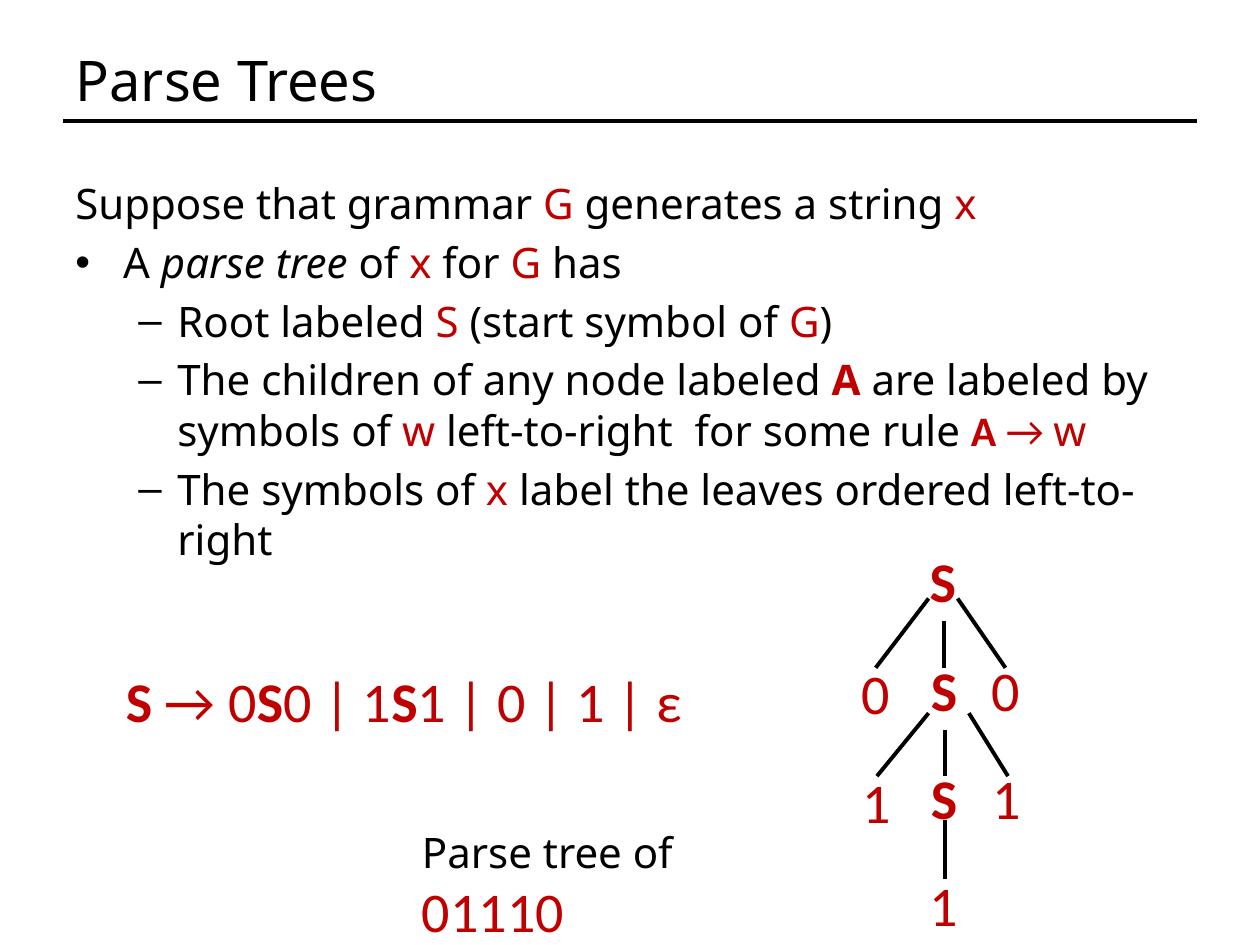
from dataclasses import dataclass

from lxml.etree import SubElement
from pptx import Presentation
from pptx.dml.color import RGBColor
from pptx.enum.shapes import MSO_CONNECTOR
from pptx.enum.text import MSO_ANCHOR, MSO_AUTO_SIZE, PP_ALIGN
from pptx.oxml.ns import qn
from pptx.util import Emu, Pt

PX = 9144  # one px is a hundredth of an inch
BLACK = RGBColor(0x00, 0x00, 0x00)
RED = RGBColor(0xC0, 0x00, 0x00)
TEXT_FONT = "Noto Sans"
SYMBOL_FONT = "Calibri"


@dataclass(frozen=True)
class Run:
    text: str
    color: RGBColor = BLACK
    name: str = TEXT_FONT
    size: int = 24
    bold: bool = False
    italic: bool = False


@dataclass(frozen=True)
class Bullet:
    char: str
    margin: int
    hanging: int
    level: int


@dataclass(frozen=True)
class Node:
    text: str
    left: int
    top: int
    width: int = 43
    bold: bool = False


@dataclass(frozen=True)
class Line:
    x1: int
    y1: int
    x2: int
    y2: int
    weight: float = 2.25


def px(value: int) -> Emu:
    return Emu(value * PX)


def red(text: str, **style) -> Run:
    return Run(text, RED, **style)


def symbol(text: str, bold: bool = False) -> Run:
    return Run(text, RED, SYMBOL_FONT, 32, bold)


def add_runs(paragraph, runs: list[Run]) -> None:
    for item in runs:
        run = paragraph.add_run()
        run.text = item.text
        values = {"name": item.name, "size": Pt(item.size),
                  "bold": item.bold, "italic": item.italic}
        for attribute, value in values.items():
            setattr(run.font, attribute, value)
        run.font.color.rgb = item.color


def add_text(slide, left: int, top: int, width: int, height: int,
             runs: list[Run], wrap: bool = False):
    shape = slide.shapes.add_textbox(px(left), px(top), px(width), px(height))
    frame = shape.text_frame
    frame.word_wrap = wrap
    frame.auto_size = MSO_AUTO_SIZE.NONE if wrap else MSO_AUTO_SIZE.SHAPE_TO_FIT_TEXT
    add_runs(frame.paragraphs[0], runs)
    return frame


def set_bullet(paragraph, bullet: Bullet) -> None:
    paragraph.level = bullet.level
    properties = paragraph._p.get_or_add_pPr()
    properties.set("marL", str(px(bullet.margin)))
    properties.set("indent", str(-px(bullet.hanging)))
    SubElement(properties, qn("a:buFont"), typeface="Arial")
    SubElement(properties, qn("a:buChar"), char=bullet.char)


def add_line(slide, line: Line) -> None:
    ends = (px(value) for value in (line.x1, line.y1, line.x2, line.y2))
    connector = slide.shapes.add_connector(MSO_CONNECTOR.STRAIGHT, *ends)
    connector.line.color.rgb = BLACK
    connector.line.width = Pt(line.weight)
    SubElement(connector._element.spPr, qn("a:effectLst"))


def add_node(slide, node: Node) -> None:
    add_text(slide, node.left, node.top, node.width, 64,
             [symbol(node.text, node.bold)])


DOT = Bullet("•", 38, 38, 0)
DASH = Bullet("–", 81, 31, 1)

BODY = [
    (None, [Run("Suppose that grammar "), red("G"),
            Run(" generates a string "), red("x")]),
    (DOT, [Run("A "), Run("parse tree ", italic=True), Run("of "), red("x"),
           Run(" for "), red("G"), Run(" has")]),
    (DASH, [Run("Root labeled "), red("S"), Run(" (start symbol of "),
            red("G"), Run(")")]),
    (DASH, [Run("The children of any node labeled "), red("A", bold=True),
            Run(" are labeled by symbols of "), red("w"),
            Run(" left-to-right  for some rule "),
            red("A", name=SYMBOL_FONT, bold=True),
            red(" → ", name=SYMBOL_FONT), red("w")]),
    (DASH, [Run("The symbols of "), red("x"),
            Run(" label the leaves ordered left-to-right")]),
]

GRAMMAR = [symbol("S ", True), symbol("→ 0"), symbol("S", True),
           symbol("0 | 1"), symbol("S", True), symbol("1 | 0 | 1 | ε")]

NODES = [
    Node("S", 728, 429, 41, True),
    Node("0", 674, 518), Node("S", 729, 515, 41, True), Node("0", 777, 515),
    Node("1", 675, 604), Node("S", 729, 601, 41, True), Node("1", 778, 601),
    Node("1", 728, 686),
]

BRANCHES = [
    Line(737, 475, 695, 530), Line(749, 493, 749, 530), Line(760, 475, 798, 530),
    Line(737, 566, 696, 616), Line(750, 579, 750, 616), Line(769, 566, 800, 616),
    Line(750, 651, 750, 698),
]


def main() -> None:
    presentation = Presentation()
    presentation.slide_width, presentation.slide_height = px(1000), px(750)
    slide = presentation.slides.add_slide(presentation.slide_layouts[5])

    # Title and the rule beneath it
    title = slide.shapes.title
    place = {"left": 50, "top": 30, "width": 900, "height": 66}
    for attribute, value in place.items():
        setattr(title, attribute, px(value))
    title.text_frame.auto_size = MSO_AUTO_SIZE.NONE
    title.text_frame.vertical_anchor = MSO_ANCHOR.MIDDLE
    heading = title.text_frame.paragraphs[0]
    heading.alignment = PP_ALIGN.LEFT
    add_runs(heading, [Run("Parse Trees", size=32)])
    add_line(slide, Line(50, 96, 950, 96, 2))

    # Definition
    body = add_text(slide, 50, 136, 923, 562, BODY[0][1], wrap=True)
    for bullet, runs in BODY[1:]:
        paragraph = body.add_paragraph()
        add_runs(paragraph, runs)
        set_bullet(paragraph, bullet)
    for paragraph in body.paragraphs:
        paragraph.space_before = Pt(4.8)

    # Example grammar
    add_text(slide, 90, 524, 469, 64, GRAMMAR)

    # Parse tree
    for branch in BRANCHES:
        add_line(slide, branch)
    for node in NODES:
        add_node(slide, node)

    # Caption
    add_text(slide, 325, 651, 328, 64,
             [Run("Parse tree of "), symbol("01110")], wrap=True)

    presentation.save("out.pptx")


if __name__ == "__main__":
    main()
